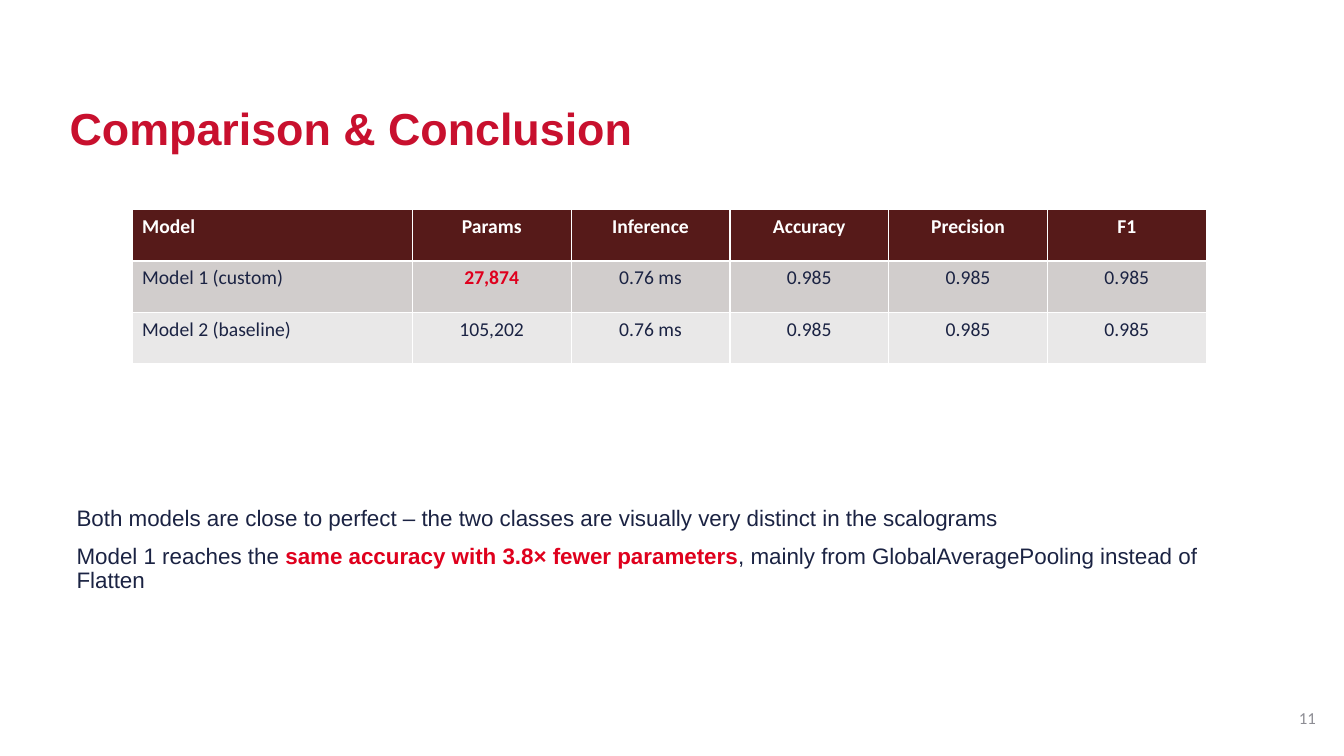
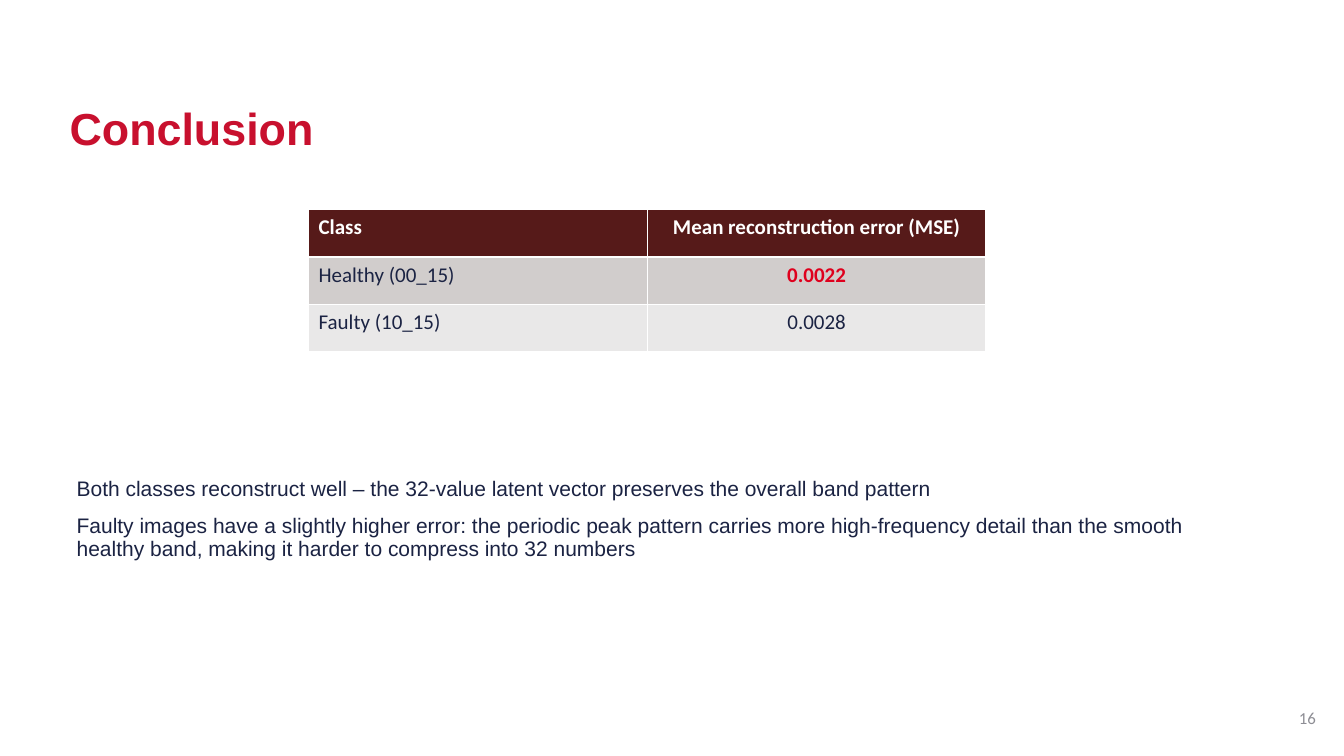
from dataclasses import dataclass
from lxml.etree import SubElement
from pptx import Presentation
from pptx.dml.color import RGBColor
from pptx.enum.text import MSO_ANCHOR, MSO_AUTO_SIZE, PP_ALIGN
from pptx.oxml.ns import qn
from pptx.util import Inches, Pt


@dataclass(frozen=True)
class Theme:
    title: str = "C8102E"
    ink: str = "1B2343"
    hot: str = "DF001D"
    head: str = "561A19"
    rows: tuple = ("D1CDCC", "E9E8E8")
    white: str = "FFFFFF"
    grey: str = "8D8D94"
    sans: str = "Arial"
    grid: str = "Calibri"
    big: int = 32
    small: int = 12


T = Theme()
WIDE, HIGH = 13.33, 7.5
TITLE_BOX = (0.59, 0.4, 12.07, 1.19)
PAGE_BOX = (11.73, 6.97, 1.42, 0.4)
BODY_LEFT, BODY_WIDE = 0.66, 11.76
TABLE_TOP = 2.08

# Words between asterisks are emphasised.
SLIDES = [
    dict(
        title="Comparison & Conclusion", page=11,
        table=[
            ("Model", "Params", "Inference", "Accuracy", "Precision", "F1"),
            ("Model 1 (custom)", "*27,874*", "0.76 ms", "0.985", "0.985", "0.985"),
            ("Model 2 (baseline)", "105,202", "0.76 ms", "0.985", "0.985", "0.985"),
        ],
        left=1.31, cols=[2.78] + [1.575] * 5, row=0.51, cell_size=14,
        body=[
            "Both models are close to perfect – the two classes are visually "
            "very distinct in the scalograms",
            "Model 1 reaches the *same accuracy with 3.8× fewer parameters*, "
            "mainly from GlobalAveragePooling instead of Flatten",
        ],
        top=4.98, high=2.08, size=16,
    ),
    dict(
        title="Conclusion", page=16,
        table=[
            ("Class", "Mean reconstruction error (MSE)"),
            ("Healthy (00_15)", "*0.0022*"),
            ("Faulty (10_15)", "0.0028"),
        ],
        left=3.06, cols=[3.36] * 2, row=0.47, cell_size=15,
        body=[
            "Both classes reconstruct well – the 32-value latent vector "
            "preserves the overall band pattern",
            "Faulty images have a slightly higher error: the periodic peak "
            "pattern carries more high-frequency detail than the smooth "
            "healthy band, making it harder to compress into 32 numbers",
        ],
        top=4.7, high=2.3, size=15,
    ),
]


def place(shape, box):
    shape.left, shape.top, shape.width, shape.height = map(Inches, box)
    return shape


def write(frame, *lines, size, color=T.ink, font=T.sans, bold=False,
          align=PP_ALIGN.LEFT, space=None, gap=0, plain=False,
          anchor=MSO_ANCHOR.TOP):
    """Fill a text frame; plain takes the bullets off its paragraphs."""
    frame.word_wrap = True
    frame.vertical_anchor = anchor
    for n, line in enumerate(lines):
        para = frame.add_paragraph() if n else frame.paragraphs[0]
        if plain:
            props = para._p.get_or_add_pPr()
            props.set("marL", "0")
            props.set("indent", "0")
            SubElement(props, qn("a:buNone"))
        para.alignment = align
        para.line_spacing = space
        para.space_before = Pt(gap if n else 0)
        for k, part in enumerate(line.split("*")):
            if not part:
                continue
            hot = k % 2 == 1
            run = para.add_run()
            run.text = part
            face = run.font
            face.name, face.size, face.bold = font, Pt(size), bold or hot
            face.color.rgb = RGBColor.from_string(T.hot if hot else color)


def add_grid(slide, data, left, cols, row, size):
    box = (left, TABLE_TOP, sum(cols), row * len(data))
    table = slide.shapes.add_table(len(data), len(cols), *map(Inches, box)).table
    for col, wide in zip(table.columns, cols):
        col.width = Inches(wide)
    for r, line in enumerate(data):
        fill = T.rows[(r - 1) % 2] if r else T.head
        for c, text in enumerate(line):
            cell = table.cell(r, c)
            cell.fill.solid()
            cell.fill.fore_color.rgb = RGBColor.from_string(fill)
            write(cell.text_frame, text, size=size, font=T.grid, bold=r == 0,
                  color=T.ink if r else T.white,
                  align=PP_ALIGN.CENTER if c else PP_ALIGN.LEFT)


def build(deck, item):
    slide = deck.slides.add_slide(deck.slide_layouts[1])
    title = place(slide.shapes.title, TITLE_BOX).text_frame
    body = place(slide.placeholders[1],
                 (BODY_LEFT, item["top"], BODY_WIDE, item["high"])).text_frame
    title.auto_size = body.auto_size = MSO_AUTO_SIZE.NONE
    write(title, item["title"], size=T.big, color=T.title, bold=True,
          space=0.9, anchor=MSO_ANCHOR.BOTTOM)
    write(body, *item["body"], size=item["size"], space=0.9, gap=10, plain=True)
    page = slide.shapes.add_textbox(*map(Inches, PAGE_BOX))
    write(page.text_frame, str(item["page"]), size=T.small, color=T.grey,
          font=T.grid, align=PP_ALIGN.RIGHT)
    add_grid(slide, item["table"], item["left"], item["cols"], item["row"],
             item["cell_size"])


def main():
    deck = Presentation()
    deck.slide_width, deck.slide_height = Inches(WIDE), Inches(HIGH)
    for item in SLIDES:
        build(deck, item)
    deck.save("out.pptx")


if __name__ == "__main__":
    main()
